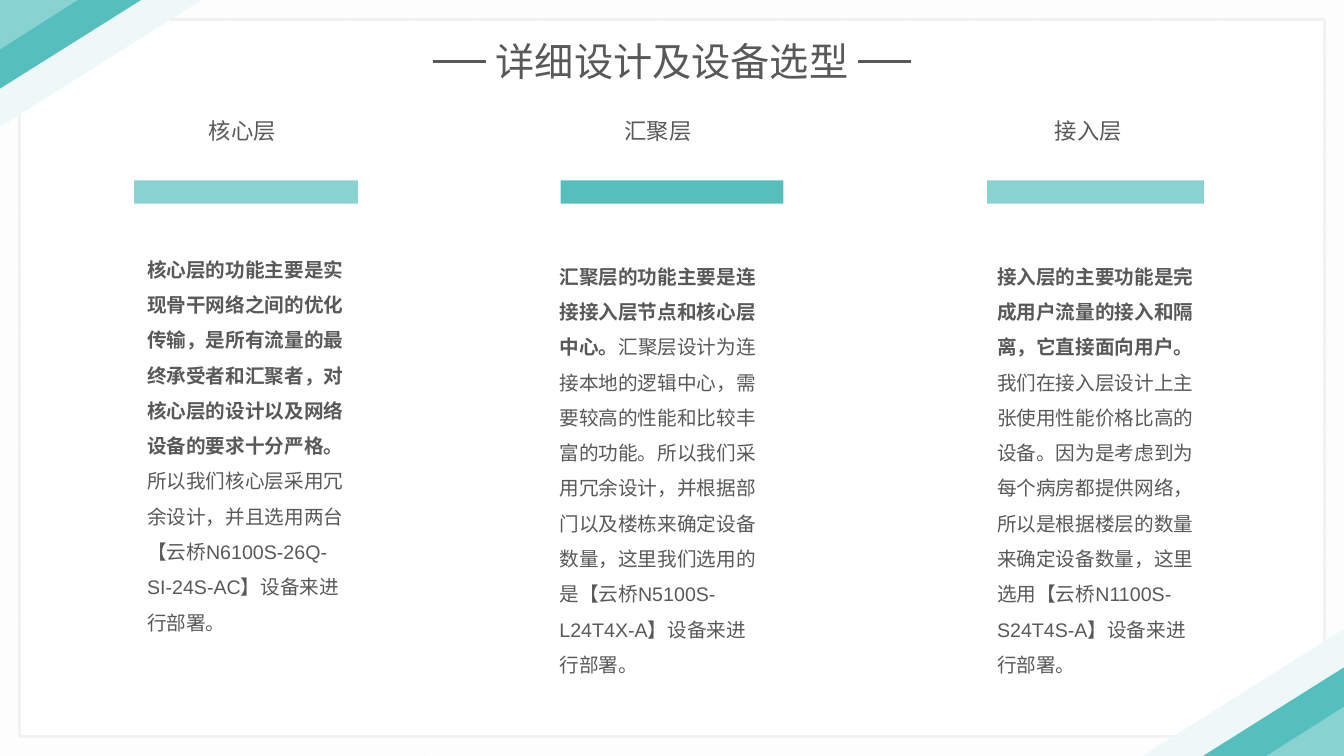
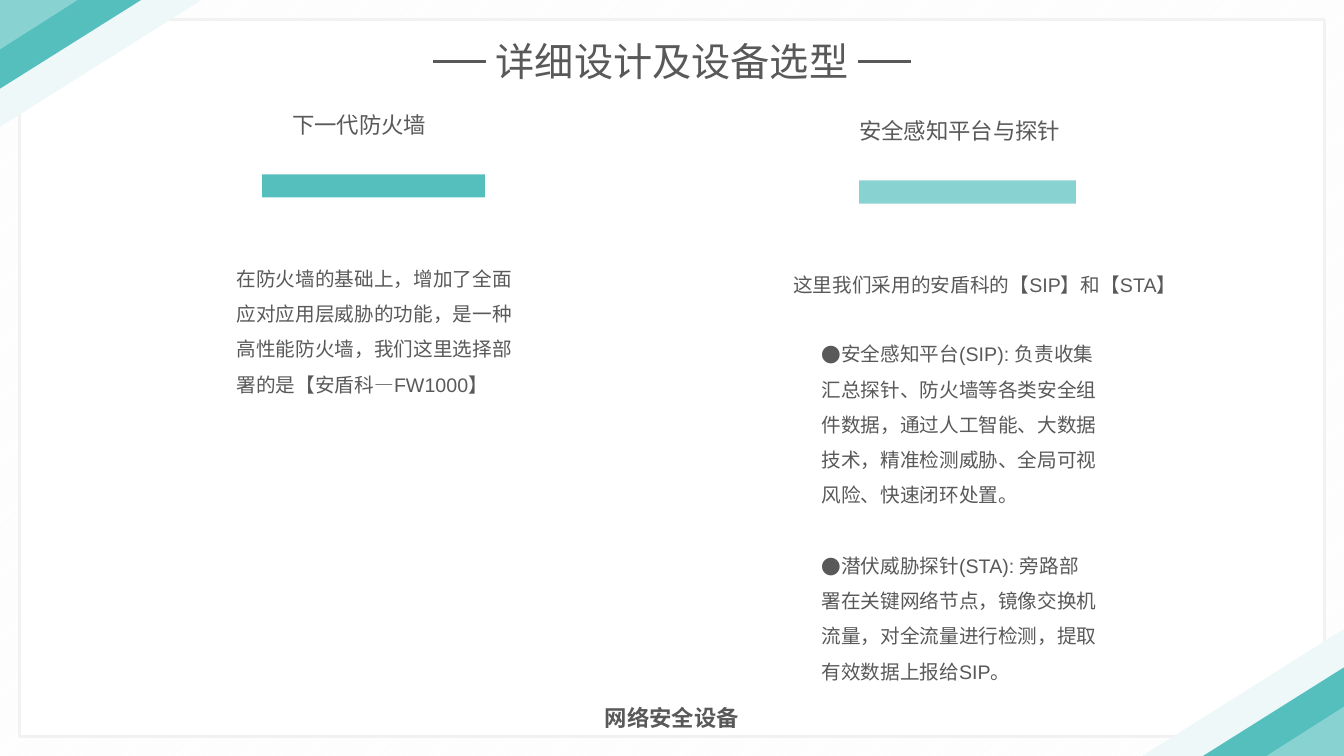
from lxml.etree import SubElement
from pptx import Presentation
from pptx.dml.color import RGBColor
from pptx.enum.dml import MSO_PATTERN
from pptx.enum.shapes import MSO_CONNECTOR, MSO_SHAPE
from pptx.enum.text import MSO_AUTO_SIZE, PP_ALIGN
from pptx.oxml.ns import qn
from pptx.util import Inches, Pt

COLORS = {"white": "FFFFFF", "stripe": "F8F8F8", "frame": "F2F2F2", "text": "595959",
          "pale": "EEF8F8", "teal": "55BFBE", "light": "88D2D1"}
LATIN, CJK = "Arial", "Noto Sans CJK SC"
WIDTH, HEIGHT, MARGIN = 13.33, 7.5, 0.19
BAR_H, HEAD_H = 0.23, 0.37
TITLE = "详细设计及设备选型"
TITLE_BOX = (4.29, 0.32, 4.75, 0.57)
DASH_Y, DASH_W = 0.61, 0.53
WEDGES = [(2, 1.26, "pale"), (1.4, 0.88, "teal"), (0.77, 0.49, "light")]

SLIDES = [
    {
        "columns": [
            {"head": "核心层", "head_box": (1.97, 1.11, 0.87), "bar": (1.33, 1.79, 2.22, "light"),
             "body": [((1.36, 2.39, 2.22, 3.99), [[
                 ("核心层的功能主要是实现骨干网络之间的优化传输，是所有流量的最终承受者和汇聚者，"
                  "对核心层的设计以及网络设备的要求十分严格。", True),
                 ("所以我们核心层采用冗余设计，并且选用两台【云桥N6100S-26Q-SI-24S-AC】设备来进行部署。", False)]])]},
            {"head": "汇聚层", "head_box": (6.09, 1.11, 0.87), "bar": (5.56, 1.79, 2.21, "teal"),
             "body": [((5.45, 2.46, 2.22, 4.34), [[
                 ("汇聚层的功能主要是连接接入层节点和核心层中心。", True),
                 ("汇聚层设计为连接本地的逻辑中心，需要较高的性能和比较丰富的功能。"
                  "所以我们采用冗余设计，并根据部门以及楼栋来确定设备数量，"
                  "这里我们选用的是【云桥N5100S-L24T4X-A】设备来进行部署。", False)]])]},
            {"head": "接入层", "head_box": (10.36, 1.11, 0.87), "bar": (9.79, 1.79, 2.15, "light"),
             "body": [((9.79, 2.46, 2.22, 4.34), [[
                 ("接入层的主要功能是完成用户流量的接入和隔离，它直接面向用户。", True),
                 ("我们在接入层设计上主张使用性能价格比高的设备。因为是考虑到为每个病房都提供网络，"
                  "所以是根据楼层的数量来确定设备数量，这里选用【云桥N1100S-S24T4S-A】设备来进行部署。", False)]])]},
        ],
    },
    {
        "columns": [
            {"head": "下一代防火墙", "head_box": (2.8, 1.05, 1.53), "bar": (2.6, 1.73, 2.21, "teal"),
             "body": [((2.25, 2.48, 2.93, 1.51), [[
                 ("在防火墙的基础上，增加了全面应对应用层威胁的功能，是一种高性能防火墙，"
                  "我们这里选择部署的是【安盾科—FW1000】", False)]])]},
            {"head": "安全感知平台与探针", "head_box": (8.42, 1.11, 2.2), "bar": (8.52, 1.79, 2.15, "light"),
             "body": [((7.77, 2.54, 4.1, 0.45), [[("这里我们采用的安盾科的【SIP】和【STA】", False)]])],
             "bullets": ((8.05, 3.23, 2.93, 3.63), [
                 [("安全感知平台(SIP): 负责收集汇总探针、防火墙等各类安全组件数据，"
                   "通过人工智能、大数据技术，精准检测威胁、全局可视风险、快速闭环处置。", False)],
                 [("潜伏威胁探针(STA): 旁路部署在关键网络节点，镜像交换机流量，"
                   "对全流量进行检测，提取有效数据上报给SIP。", False)]])},
        ],
        "caption": ("网络安全设备", (5.9, 6.94, 1.53, HEAD_H)),
    },
]


def rgb(name):
    return RGBColor.from_string(COLORS[name])


def inches(box):
    return [Inches(v) for v in box]


def add_box(s, box, fill, kind=MSO_SHAPE.RECTANGLE, line=None):
    sp = s.shapes.add_shape(kind, *inches(box))
    sp.shadow.inherit = False
    sp.fill.solid()
    sp.fill.fore_color.rgb = rgb(fill)
    if line:
        sp.line.color.rgb = rgb(line)
        sp.line.width = Pt(2.25)
    else:
        sp.line.fill.background()
    return sp


def add_text(s, box, paragraphs, size=14, font=LATIN, align=PP_ALIGN.LEFT,
             wrap=True, spacing=None, bullet=False):
    tf = s.shapes.add_textbox(*inches(box)).text_frame
    tf.word_wrap = wrap
    tf.auto_size = MSO_AUTO_SIZE.SHAPE_TO_FIT_TEXT
    for i, runs in enumerate(paragraphs):
        p = tf.paragraphs[0] if i == 0 else tf.add_paragraph()
        p.alignment = align
        if spacing:
            p.line_spacing = spacing
        if bullet:
            if i:
                p.space_before = Pt(25)
            pPr = p._p.get_or_add_pPr()
            pPr.set("marL", "0")
            pPr.set("indent", "0")
            SubElement(pPr, qn("a:buFont")).set("typeface", CJK)
            SubElement(pPr, qn("a:buChar")).set("char", "●")
        for text, bold in runs:
            r = p.add_run()
            r.text = text
            r.font.size = Pt(size)
            r.font.bold = bold
            r.font.name = font
            r.font.color.rgb = rgb("text")
            SubElement(r._r.get_or_add_rPr(), qn("a:ea")).set("typeface", CJK)


def add_label(s, text, box, bold=False):
    add_text(s, box, [[(text, bold)]], size=16, align=PP_ALIGN.CENTER, wrap=False)


def add_frame(s):
    back = add_box(s, (0, 0, WIDTH, HEIGHT), "white")
    back.fill.patterned()
    back.fill.pattern = MSO_PATTERN.DARK_UPWARD_DIAGONAL
    back.fill.fore_color.rgb = rgb("stripe")
    back.fill.back_color.rgb = rgb("white")
    add_box(s, (MARGIN, MARGIN, WIDTH - 2 * MARGIN, HEIGHT - 2 * MARGIN), "white", line="frame")
    for rotation in (180, 0):
        for w, h, color in WEDGES:
            x, y = (WIDTH - w, HEIGHT - h) if rotation else (0, 0)
            wedge = add_box(s, (x, y, w, h), color, MSO_SHAPE.RIGHT_TRIANGLE)
            wedge.rotation = rotation
            wedge._element.spPr.find(qn("a:xfrm")).set("flipV", "1")


def add_title(s):
    add_text(s, TITLE_BOX, [[(TITLE, False)]], size=28, font=CJK, align=PP_ALIGN.CENTER)
    left, _, width, _ = TITLE_BOX
    for x in (left + width - DASH_W, left):
        dash = s.shapes.add_connector(MSO_CONNECTOR.STRAIGHT,
                                      *inches((x, DASH_Y, x + DASH_W, DASH_Y)))
        dash.line.color.rgb = rgb("text")
        dash.line.width = Pt(1.5)
        SubElement(dash._element.spPr, qn("a:effectLst"))


def add_column(s, column):
    x, y, w, color = column["bar"]
    add_box(s, (x, y, w, BAR_H), color)
    add_label(s, column["head"], (*column["head_box"], HEAD_H))
    for box, paragraphs in column["body"]:
        add_text(s, box, paragraphs, spacing=1.5)
    if "bullets" in column:
        box, paragraphs = column["bullets"]
        add_text(s, box, paragraphs, spacing=1.5, bullet=True)


def main():
    prs = Presentation()
    prs.slide_width, prs.slide_height = Inches(WIDTH), Inches(HEIGHT)
    for content in SLIDES:
        s = prs.slides.add_slide(prs.slide_layouts[6])
        add_frame(s)
        add_title(s)
        for column in content["columns"]:
            add_column(s, column)
        if "caption" in content:
            add_label(s, *content["caption"], bold=True)
    prs.save("out.pptx")


if __name__ == "__main__":
    main()
